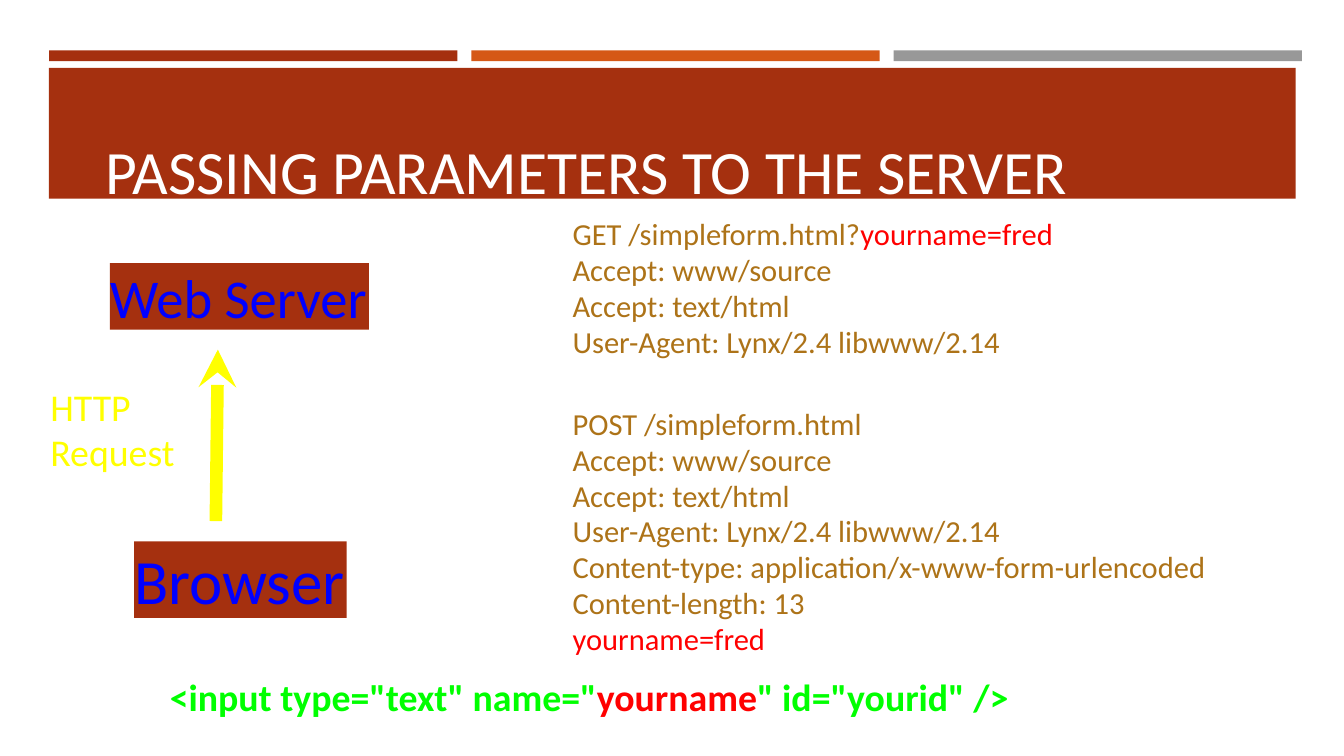
import pptx
import pptx.util
import pptx.dml.color
import pptx.enum.shapes
import pptx.enum.text
import pptx.oxml
import pptx.oxml.ns
from pptx.util import Cm

RGBColor = pptx.dml.color.RGBColor
BRICK = RGBColor(0xA5, 0x30, 0x0F)
ORANGE = RGBColor(0xD5, 0x58, 0x16)
GRAY = RGBColor(0x98, 0x98, 0x98)
WHITE = RGBColor(0xFF, 0xFF, 0xFF)
OCHRE = RGBColor(0xAD, 0x73, 0x18)
RED = RGBColor(0xFF, 0x00, 0x00)
YELLOW = RGBColor(0xFF, 0xFF, 0x00)
BLUE = RGBColor(0x00, 0x00, 0xFF)
GREEN = RGBColor(0x00, 0xFF, 0x00)
ANCHOR = pptx.enum.text.MSO_ANCHOR

prs = pptx.Presentation()
prs.slide_width, prs.slide_height = Cm(33.87), Cm(19.05)
s = prs.slides.add_slide(prs.slide_layouts[6])


def add_box(left, top, width, height, fill):
    sp = s.shapes.add_shape(pptx.enum.shapes.MSO_SHAPE.RECTANGLE,
                            Cm(left), Cm(top), Cm(width), Cm(height))
    sp.shadow.inherit = False
    sp.fill.solid()
    sp.fill.fore_color.rgb = fill
    sp.line.fill.background()
    return sp


def write(sp, lines, size, bold=False, spacing=None, **frame):
    """Fill a shape with lines, each a list of (text, colour) runs."""
    tf = sp.text_frame
    settings = dict(margin_left=0, margin_top=0, margin_right=0, margin_bottom=0,
                    vertical_anchor=ANCHOR.MIDDLE, word_wrap=True)
    for name, value in (settings | frame).items():
        setattr(tf, name, value)
    for i, line in enumerate(lines):
        p = tf.add_paragraph() if i else tf.paragraphs[0]
        p.alignment = pptx.enum.text.PP_ALIGN.LEFT
        p.line_spacing = spacing
        for text, colour in line:
            r = p.add_run()
            r.text = text
            font = dict(name="Calibri", size=pptx.util.Pt(size), bold=bold)
            for name, value in font.items():
                setattr(r.font, name, value)
            r.font.color.rgb = colour


# Header bars and title band
for i, colour in enumerate([BRICK, ORANGE, GRAY]):
    add_box(1.24 + 10.64 * i, 1.27, 10.29, 0.27, colour)
add_box(1.23, 1.71, 31.42, 3.3, BRICK)
title = s.shapes.add_textbox(Cm(2.41), Cm(1.52), Cm(29.03), Cm(3.81))
write(title, [[("PASSING PARAMETERS TO THE SERVER", WHITE)]], 44,
      vertical_anchor=ANCHOR.BOTTOM, margin_left=Cm(0.25), margin_bottom=Cm(0.13))

# GET and POST requests
accept = [[(text, OCHRE)] for text in (
    "Accept: www/source", "Accept: text/html", "User-Agent: Lynx/2.4 libwww/2.14")]
get_lines = [[("GET /simpleform.html?", OCHRE), ("yourname=fred", RED)], *accept]
post_lines = [[("POST /simpleform.html", OCHRE)], *accept,
              [("Content-type: application/x-www-form-urlencoded", OCHRE)],
              [("Content-length: 13", OCHRE)],
              [("yourname=fred", RED)]]
for top, width, height, lines in [(5.38, 14.55, 3.81, get_lines),
                                  (10.16, 18.57, 6.5, post_lines)]:
    sp = s.shapes.add_textbox(Cm(14.43), Cm(top), Cm(width), Cm(height))
    write(sp, lines, 21.8, spacing=0.98)

# Browser and web server with the request between them
label = s.shapes.add_textbox(Cm(1.27), Cm(9.65), Cm(3.15), Cm(2.31))
write(label, [[("HTTP", YELLOW)], [("Request", YELLOW)]], 27, word_wrap=False)
for left, top, width, height, text, size in [
        (3.38, 13.64, 5.36, 1.93, "Browser", 45),
        (2.77, 6.63, 6.53, 1.68, "Web Server", 39)]:
    write(add_box(left, top, width, height, BRICK), [[(text, BLUE)]], size,
          word_wrap=False)

arrow = s.shapes.add_connector(pptx.enum.shapes.MSO_CONNECTOR.STRAIGHT,
                               Cm(5.49), Cm(8.81), Cm(5.44), Cm(13.13))
arrow.line.color.rgb = YELLOW
arrow.line.width = pptx.util.Pt(9)
head = pptx.oxml.parse_xml(
    '<a:headEnd %s type="stealth"/>' % pptx.oxml.ns.nsdecls("a"))
arrow.line._get_or_add_ln().append(head)
arrow._element.spPr.append(
    pptx.oxml.parse_xml("<a:effectLst %s/>" % pptx.oxml.ns.nsdecls("a")))

# Form field markup
markup = s.shapes.add_textbox(Cm(3.2), Cm(16.89), Cm(22.43), Cm(1.3))
write(markup, [[('<input type="text" name="', GREEN), ("yourname", RED),
                ('" id="yourid" />', GREEN)]], 27, bold=True, margin_left=Cm(1.08))

prs.save("out.pptx")
